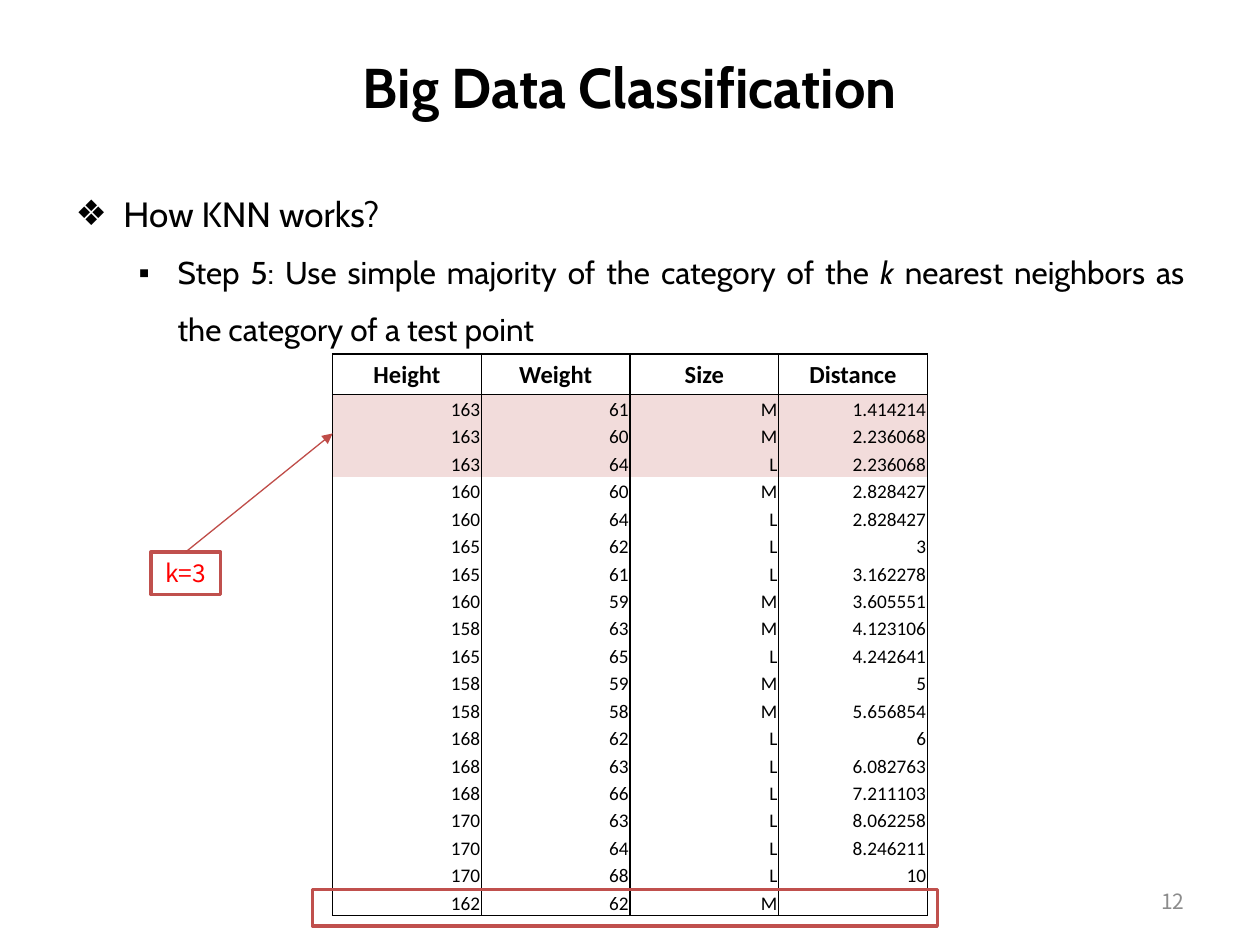
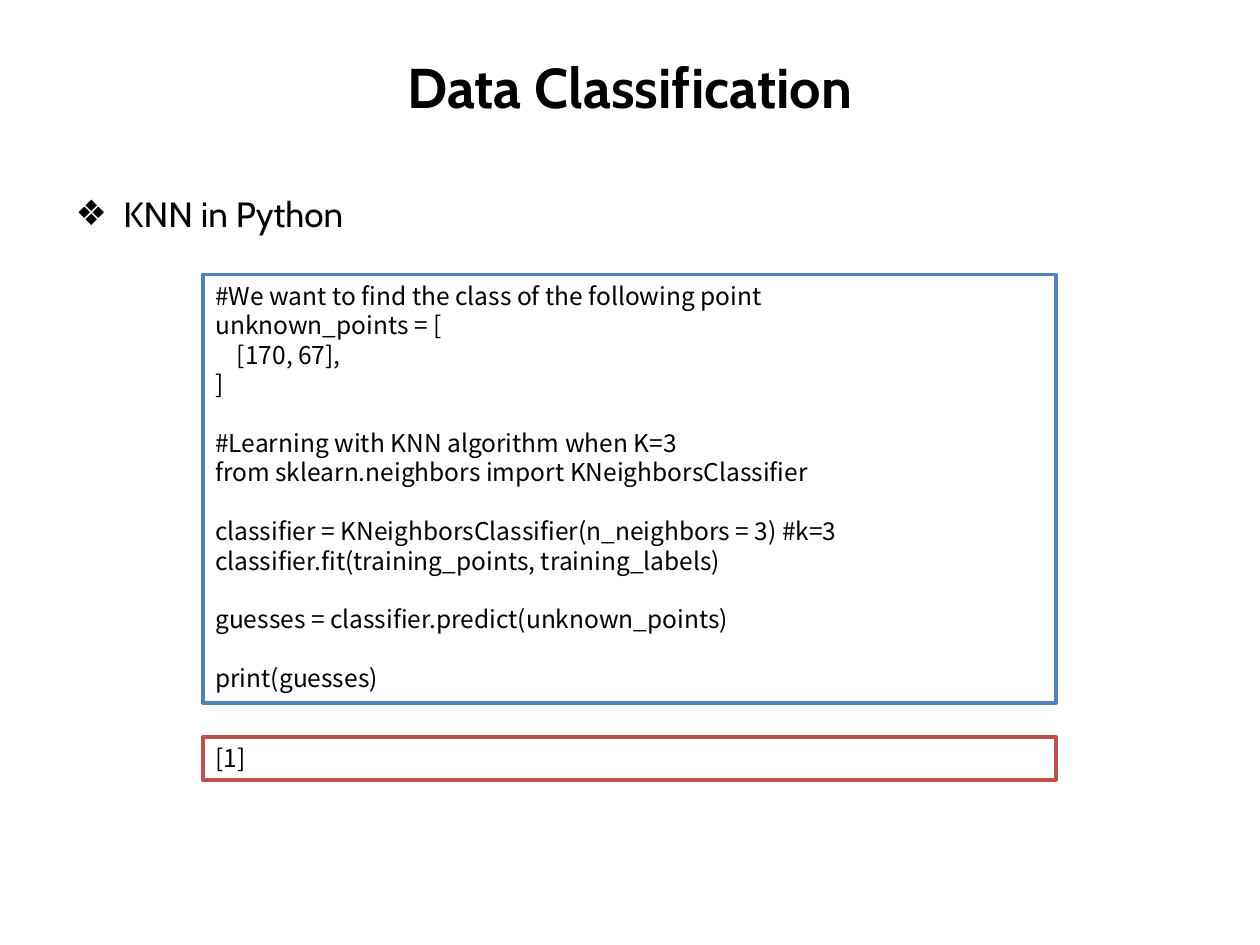
import pptx
import pptx.dml.color
import pptx.enum.shapes
import pptx.enum.text
import pptx.oxml
import pptx.oxml.ns
import pptx.util
from lxml import etree

RGBColor = pptx.dml.color.RGBColor
BLACK = RGBColor(0x00, 0x00, 0x00)
WHITE = RGBColor(0xFF, 0xFF, 0xFF)
GREY = RGBColor(0x8C, 0x8C, 0x8C)
RED = RGBColor(0xFF, 0x00, 0x00)
BRICK = RGBColor(0xC0, 0x50, 0x4D)
ARROW_RED = RGBColor(0xBF, 0x4C, 0x48)
BLUE = RGBColor(0x4F, 0x81, 0xBD)
PINK = RGBColor(0xF2, 0xDC, 0xDB)

ALIGN = pptx.enum.text.PP_ALIGN
ANCHOR = pptx.enum.text.MSO_ANCHOR
Pt = pptx.util.Pt
qn = pptx.oxml.ns.qn

presentation = pptx.Presentation()
presentation.slide_width = pptx.util.Inches(10)
presentation.slide_height = pptx.util.Inches(7.5)
GRID_UNIT = presentation.slide_width / 100  # 100 columns by 75 rows

TITLE_FONT = {"name": "Cabin", "size": Pt(32), "bold": True, "color": BLACK}
BODY_FONTS = [
    {"name": "Cabin", "size": Pt(20), "color": BLACK},
    {"name": "Cabin", "size": Pt(18), "color": BLACK},
]
BODY_BULLETS = [("❖", 3.8, 3.8), ("▪", 8.1, 3.1)]  # character, margin, hanging
BOX_FONT = {"name": "Noto Sans CJK KR", "size": Pt(14), "color": BLACK}
BOX_LINE = Pt(16.8)
CODE_SPACE = 0.43

SLIDES = [
    ("Big Data Classification", [
        (0, [("How KNN works?", False)]),
        (1, [("Step 5: Use simple majority of the category of the ", False),
             ("k", True),
             (" nearest neighbors as the category of a test point", False)]),
    ]),
    ("Data Classification", [(0, [("KNN in Python", False)])]),
]

NEIGHBORS = [
    ("Height", "Weight", "Size", "Distance"),
    ("163", "61", "M", "1.414214"),
    ("163", "60", "M", "2.236068"),
    ("163", "64", "L", "2.236068"),
    ("160", "60", "M", "2.828427"),
    ("160", "64", "L", "2.828427"),
    ("165", "62", "L", "3"),
    ("165", "61", "L", "3.162278"),
    ("160", "59", "M", "3.605551"),
    ("158", "63", "M", "4.123106"),
    ("165", "65", "L", "4.242641"),
    ("158", "59", "M", "5"),
    ("158", "58", "M", "5.656854"),
    ("168", "62", "L", "6"),
    ("168", "63", "L", "6.082763"),
    ("168", "66", "L", "7.211103"),
    ("170", "63", "L", "8.062258"),
    ("170", "64", "L", "8.246211"),
    ("170", "68", "L", "10"),
    ("162", "62", "M", ""),
]
NEAREST_COUNT = 3

CODE_BLOCKS = [
    ["#We want to find the class of the following point",
     "unknown_points = [",
     "    [170, 67],",
     "]"],
    ["#Learning with KNN algorithm when K=3",
     "from sklearn.neighbors import KNeighborsClassifier"],
    ["classifier = KNeighborsClassifier(n_neighbors = 3) #k=3",
     "classifier.fit(training_points, training_labels)"],
    ["guesses = classifier.predict(unknown_points)"],
    ["print(guesses)"],
]


def grid(*cells):
    """Turn counts of grid units into slide lengths."""
    return [pptx.util.Emu(round(cell * GRID_UNIT)) for cell in cells]


def add_run(paragraph, text, font_format):
    run = paragraph.add_run()
    run.text = text
    for name, value in font_format.items():
        if name == "color":
            run.font.color.rgb = value
        else:
            setattr(run.font, name, value)


# Titles and bulleted lists
slides = []
for title_text, items in SLIDES:
    slide = presentation.slides.add_slide(presentation.slide_layouts[1])
    slides.append(slide)
    title, body = slide.placeholders
    for placeholder, area in ((title, (5, 3, 90, 7.7)), (body, (5, 13.1, 90, 58.3))):
        for name, length in zip(("left", "top", "width", "height"), grid(*area)):
            setattr(placeholder, name, length)
        placeholder.text_frame.auto_size = pptx.enum.text.MSO_AUTO_SIZE.NONE
    title.text_frame.vertical_anchor = ANCHOR.MIDDLE
    title.text_frame.paragraphs[0].alignment = ALIGN.CENTER
    add_run(title.text_frame.paragraphs[0], title_text, TITLE_FONT)

    for index, (level, runs) in enumerate(items):
        frame = body.text_frame
        paragraph = frame.add_paragraph() if index else frame.paragraphs[0]
        paragraph_format = {"level": level, "alignment": ALIGN.JUSTIFY,
                            "line_spacing": 1.5, "space_before": Pt(0)}
        for name, value in paragraph_format.items():
            setattr(paragraph, name, value)
        bullet, margin, hanging = BODY_BULLETS[level]
        properties = paragraph._p.get_or_add_pPr()
        for name, length in zip(("marL", "indent"), grid(margin, -hanging)):
            properties.set(name, str(length))
        etree.SubElement(properties, qn("a:buChar"), char=bullet)
        for text, italic in runs:
            add_run(paragraph, text, {**BODY_FONTS[level], "italic": italic})

knn_slide, python_slide = slides

# Page number
page_number = knn_slide.shapes.add_textbox(*grid(71.7, 69.5, 23.3, 4))
page_number.text_frame.word_wrap = True
page_number.text_frame.vertical_anchor = ANCHOR.MIDDLE
page_number.text_frame.paragraphs[0].alignment = ALIGN.RIGHT
add_run(page_number.text_frame.paragraphs[0], "12",
        {**BOX_FONT, "size": Pt(12), "color": GREY})

# Neighbors sorted by distance
last_row = len(NEIGHBORS) - 1
table_shape = knn_slide.shapes.add_table(
    len(NEIGHBORS), len(NEIGHBORS[0]), *grid(26.4, 28.1, 47.2, 44.6))
table = table_shape.table
table.first_row = table.horz_banding = False
for column in table.columns:
    column.width = grid(11.8)[0]
for row_index, values in enumerate(NEIGHBORS):
    is_header = row_index == 0
    table.rows[row_index].height = grid(3.2 if is_header else 41.4 / last_row)[0]
    if is_header:
        fill = WHITE
        cell_font = {"name": "Calibri", "size": Pt(14), "bold": True, "color": BLACK}
    else:
        fill = PINK if row_index <= NEAREST_COUNT else WHITE
        cell_font = {"name": "Calibri", "size": Pt(11), "bold": False, "color": BLACK}
    sides = {"L": True, "R": True, "T": row_index <= 1,
             "B": row_index in (0, last_row)}
    for column_index, value in enumerate(values):
        cell = table.cell(row_index, column_index)
        cell_format = {
            "margin_left": Pt(0.72), "margin_right": Pt(0.72),
            "margin_top": Pt(0.72), "margin_bottom": 0,
            "vertical_anchor": ANCHOR.MIDDLE if is_header else ANCHOR.BOTTOM}
        for name, setting in cell_format.items():
            setattr(cell, name, setting)
        cell.fill.solid()
        cell.fill.fore_color.rgb = fill
        paragraph = cell.text_frame.paragraphs[0]
        paragraph.alignment = ALIGN.CENTER if is_header else ALIGN.RIGHT
        if value:
            add_run(paragraph, value, cell_font)
        else:
            etree.SubElement(paragraph._p, qn("a:endParaRPr"), sz="1100")
        cell_properties = cell._tc.get_or_add_tcPr()
        for position, (side, visible) in enumerate(sides.items()):
            border = etree.Element(qn(f"a:ln{side}"), w=str(Pt(1)))
            if visible:
                solid = etree.SubElement(border, qn("a:solidFill"))
                etree.SubElement(solid, qn("a:srgbClr"), val=str(BLACK))
            else:
                etree.SubElement(border, qn("a:noFill"))
            cell_properties.insert(position, border)

# Framed boxes: slide, area, fill, line, alignment, text colour, blocks of lines
BOXES = {
    "test point": (knn_slide, (24.8, 70.6, 49.6, 2.9), None, BRICK,
                   ALIGN.CENTER, BLACK, []),
    "k": (knn_slide, (12, 43.8, 5.5, 3.4), WHITE, BRICK,
          ALIGN.CENTER, RED, [["k=3"]]),
    "code": (python_slide, (16.1, 21.8, 67.7, 34), WHITE, BLUE,
             ALIGN.LEFT, BLACK, CODE_BLOCKS),
    "result": (python_slide, (16.1, 58.5, 67.7, 3.4), WHITE, BRICK,
               ALIGN.LEFT, BLACK, [["[1]"]]),
}
boxes = {}
for box_name, (slide, area, fill, line, alignment, color, blocks) in BOXES.items():
    box = slide.shapes.add_shape(
        pptx.enum.shapes.MSO_SHAPE.RECTANGLE, *grid(*area))
    boxes[box_name] = box
    box.shadow.inherit = False
    if fill is None:
        box.fill.background()
    else:
        box.fill.solid()
        box.fill.fore_color.rgb = fill
    box.line.color.rgb = line
    box.line.width = Pt(2)
    frame = box.text_frame
    frame.word_wrap = box_name != "k"
    frame.vertical_anchor = ANCHOR.TOP
    for block_index, lines in enumerate(blocks):
        for line_index, text in enumerate(lines):
            is_first = block_index == line_index == 0
            paragraph = frame.paragraphs[0] if is_first else frame.add_paragraph()
            paragraph.alignment = alignment
            paragraph.line_spacing = BOX_LINE
            if block_index and line_index == 0:
                paragraph.space_before = BOX_LINE
            code_text = text.lstrip()
            margin = grid((len(text) - len(code_text)) * CODE_SPACE)[0]
            paragraph._p.get_or_add_pPr().set("marL", str(margin))
            add_run(paragraph, code_text, {**BOX_FONT, "color": color})

# Arrow from the k box to the nearest rows
arrow = knn_slide.shapes.add_connector(
    pptx.enum.shapes.MSO_CONNECTOR.STRAIGHT, *grid(14.75, 43.8, 26.4, 34.4))
arrow.begin_connect(boxes["k"], 0)
arrow.line.color.rgb = ARROW_RED
arrow.line.width = Pt(0.75)
arrow_properties = arrow._element.spPr
etree.SubElement(arrow_properties.find(qn("a:ln")), qn("a:tailEnd"), type="triangle")
etree.SubElement(arrow_properties, qn("a:effectLst"))

presentation.save("out.pptx")
